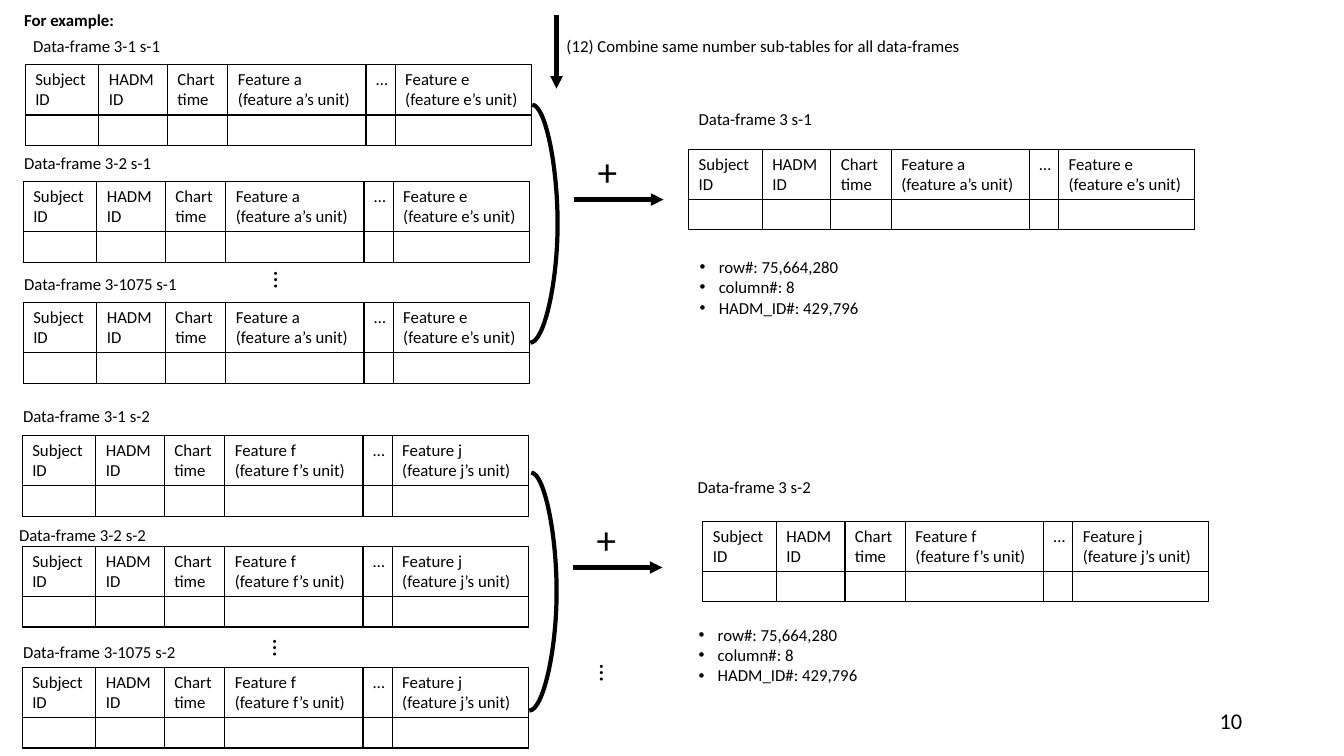
import dataclasses
import pptx
import pptx.dml.color
import pptx.enum.shapes
import pptx.enum.text
import pptx.oxml
import pptx.oxml.ns
import pptx.util

Inches = pptx.util.Inches
Pt = pptx.util.Pt
Align = pptx.enum.text.PP_ALIGN
Fit = pptx.enum.text.MSO_AUTO_SIZE
Kind = pptx.enum.shapes.MSO_CONNECTOR


@dataclasses.dataclass(frozen=True)
class Theme:
    font: str = "Calibri"
    ink: str = "000000"
    body: int = 12
    page: int = 16
    dots: int = 18
    plus: int = 28
    rule: int = 1
    bold_rule: int = 3


COLS = [0.73, 0.68, 0.6, 1.37, 0.29, 1.35]
ROWS = [0.5, 0.3]
FACTS = ["row#: 75,664,280", "column#: 8", "HADM_ID#: 429,796"]

# Each frame: name, label left and top, table left and top
PANELS = [
    dict(part="s-1", ends="ae", dx=0, dy=0, frames=[
        ("3-1", 0.23, 0.31, 0.25, 0.64),
        ("3-2", 0.14, 1.47, 0.23, 1.8),
        ("3-1075", 0.14, 2.67, 0.23, 3.0)], total=(6.83, 1.48)),
    dict(part="s-2", ends="fj", dx=-0.01, dy=3.65, frames=[
        ("3-1", 0.13, 3.98, 0.22, 4.32),
        ("3-2", 0.09, 5.16, 0.22, 5.42),
        ("3-1075", 0.13, 6.32, 0.22, 6.62)], total=(6.97, 5.17)),
]


def put(item, values):
    for name, value in values.items():
        setattr(item, name, value)


def add_xml(parent, tag, **attrs):
    node = pptx.oxml.parse_xml(f'<{tag} {pptx.oxml.ns.nsdecls("a")}/>')
    for name, value in attrs.items():
        node.set(name, str(value))
    parent.append(node)
    return node


class Board:
    def __init__(self, slide, theme):
        self.slide = slide
        self.theme = theme
        self.ink = pptx.dml.color.RGBColor.from_string(theme.ink)

    def fill(self, frame, lines, size=None, bold=None, align=None):
        """Fill a text frame, one paragraph for each line."""
        for i, line in enumerate(lines):
            para = frame.add_paragraph() if i else frame.paragraphs[0]
            para.alignment = align
            run = para.add_run()
            run.text = line
            put(run.font, dict(size=Pt(size or self.theme.body), bold=bold,
                               name=self.theme.font))
            run.font.color.rgb = self.ink

    def text(self, x, y, w, h, *lines, turn=0, fit=Fit.SHAPE_TO_FIT_TEXT, **style):
        box = self.slide.shapes.add_textbox(*map(Inches, (x, y, w, h)))
        box.rotation = turn
        put(box.text_frame, dict(word_wrap=True, auto_size=fit))
        self.fill(box.text_frame, lines, **style)
        return box

    def label(self, x, y, line, w=2.09, **style):
        self.text(x, y, w, 0.3, line, **style)

    def dots(self, x, y):
        self.text(x, y, 0.34, 0.4, "…", turn=90, size=self.theme.dots)

    def bullets(self, x, y, lines):
        box = self.text(x, y, 2.09, 0.91, *lines)
        for para in box.text_frame.paragraphs:
            props = para._p.get_or_add_pPr()
            props.set("marL", str(Inches(0.19)))
            props.set("indent", str(-Inches(0.19)))
            add_xml(props, "a:buFont", typeface="Arial")
            add_xml(props, "a:buChar", char="•")

    def link(self, kind, *ends):
        line = self.slide.shapes.add_connector(kind, *map(Inches, ends))
        line.line.color.rgb = self.ink
        line.line.width = Pt(self.theme.bold_rule)
        add_xml(line._element.spPr, "a:effectLst")
        return line

    def arrow(self, *ends):
        line = self.link(Kind.STRAIGHT, *ends)
        add_xml(line._element.spPr.ln, "a:tailEnd", type="triangle")

    def curve(self, *ends, bend):
        """Join two points by a curve that swells to the right by bend inches."""
        line = self.link(Kind.CURVE, *ends)
        ratio = -round(bend / (ends[0] - ends[2]) * 100000)
        guides = line._element.spPr.prstGeom.get_or_add_avLst()
        add_xml(guides, "a:gd", name="adj1", fmla=f"val {ratio}")

    def edge(self, cell):
        props = cell._tc.get_or_add_tcPr()
        for side in "LRTB":
            line = add_xml(props, f"a:ln{side}", w=Pt(self.theme.rule))
            fill = add_xml(line, "a:solidFill")
            add_xml(fill, "a:srgbClr", val=self.theme.ink)
        cell.fill.background()

    def table(self, x, y, ends):
        feats = [[f"Feature {c}", f"(feature {c}’s unit)"] for c in ends]
        heads = [["Subject ID"], ["HADM ID"], ["Chart time"],
                 feats[0], ["…"], feats[1]]
        size = map(Inches, (x, y, sum(COLS), sum(ROWS)))
        grid = self.slide.shapes.add_table(len(ROWS), len(COLS), *size).table
        put(grid, dict(first_row=False, horz_banding=False))
        for col, width in zip(grid.columns, COLS):
            col.width = Inches(width)
        for row, height in zip(grid.rows, ROWS):
            row.height = Inches(height)
        for i, head in enumerate(heads):
            self.fill(grid.cell(0, i).text_frame, head)
            blank = grid.cell(1, i).text_frame.paragraphs[0]
            add_xml(blank._p, "a:endParaRPr", sz=self.theme.body * 100)
        for cell in grid.iter_cells():
            self.edge(cell)

    def panel(self, part, ends, dx, dy, frames, total):
        """Draw one group of sub-tables and the table they combine into."""
        for name, x, y, left, top in frames:
            self.label(x, y, f"Data-frame {name} {part}")
            self.table(left, top, ends)
        self.dots(2.65 + dx, 2.57 + dy)
        self.curve(5.28 + dx, 1.04 + dy, 5.26 + dx, 3.4 + dy, bend=0.25)
        self.arrow(5.69 + dx, 1.98 + dy, 6.58 + dx, 1.98 + dy)
        self.text(5.83 + dx, 1.41 + dy, 0.44, 0.57, "+", size=self.theme.plus)
        self.label(6.83 + dx, 1.03 + dy, f"Data-frame 3 {part}")
        self.table(*total, ends)
        self.bullets(6.84 + dx, 2.5 + dy, FACTS)


def main():
    deck = pptx.Presentation()
    put(deck, dict(slide_width=Inches(13.33), slide_height=Inches(7.5)))
    board = Board(deck.slides.add_slide(deck.slide_layouts[6]), Theme())
    board.label(5.52, 0.31, "(12) Combine same number sub-tables for all data-frames",
                w=6.74)
    board.arrow(5.52, 0.15, 5.52, 0.88)
    board.label(0.14, 0.05, "For example:", bold=True)
    for panel in PANELS:
        board.panel(**panel)
    board.dots(5.88, 6.46)
    page = board.text(9.42, 6.95, 3, 0.4, "10", fit=Fit.NONE,
                      size=board.theme.page, align=Align.RIGHT)
    page.text_frame.vertical_anchor = pptx.enum.text.MSO_ANCHOR.MIDDLE
    deck.save("out.pptx")


if __name__ == "__main__":
    main()
